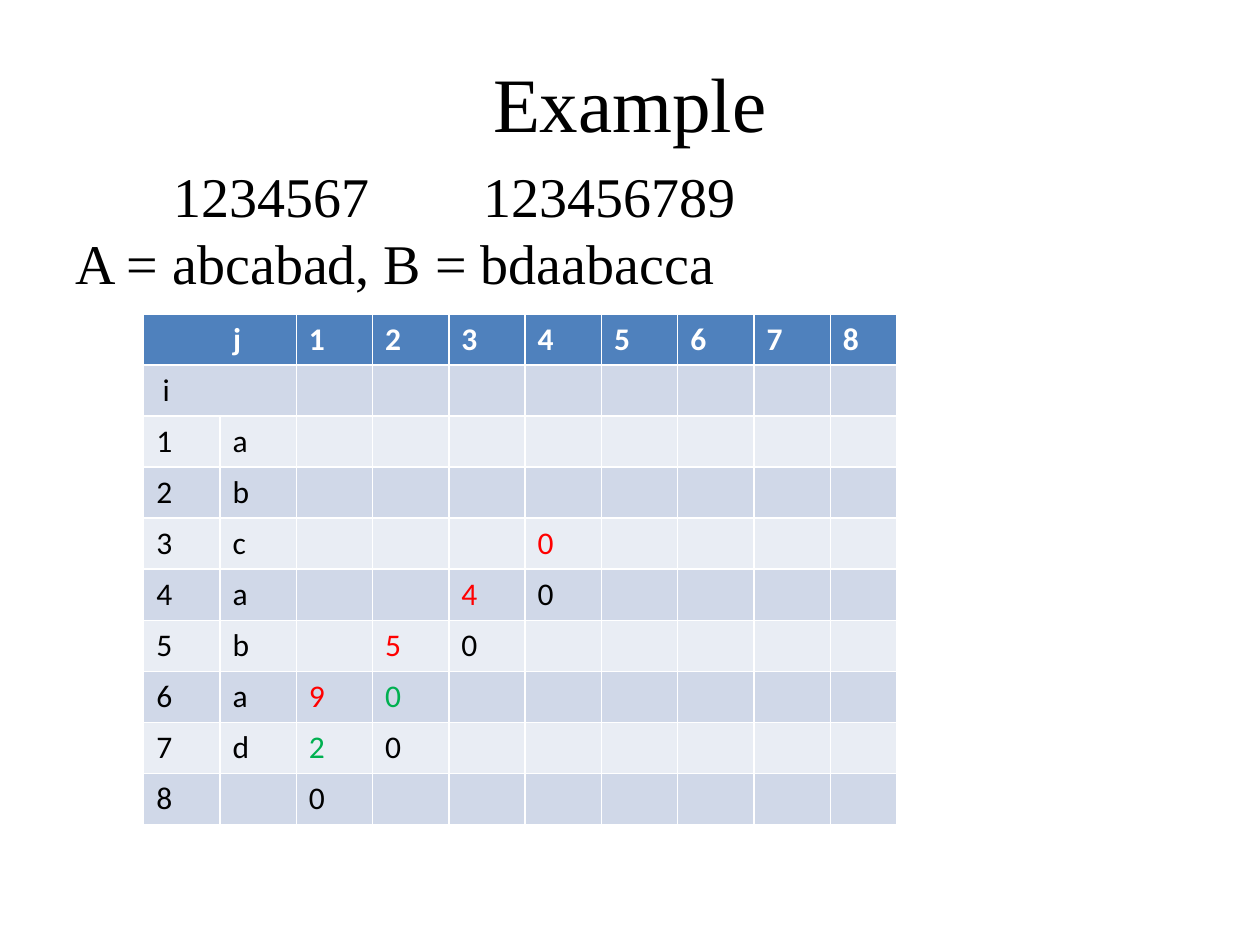
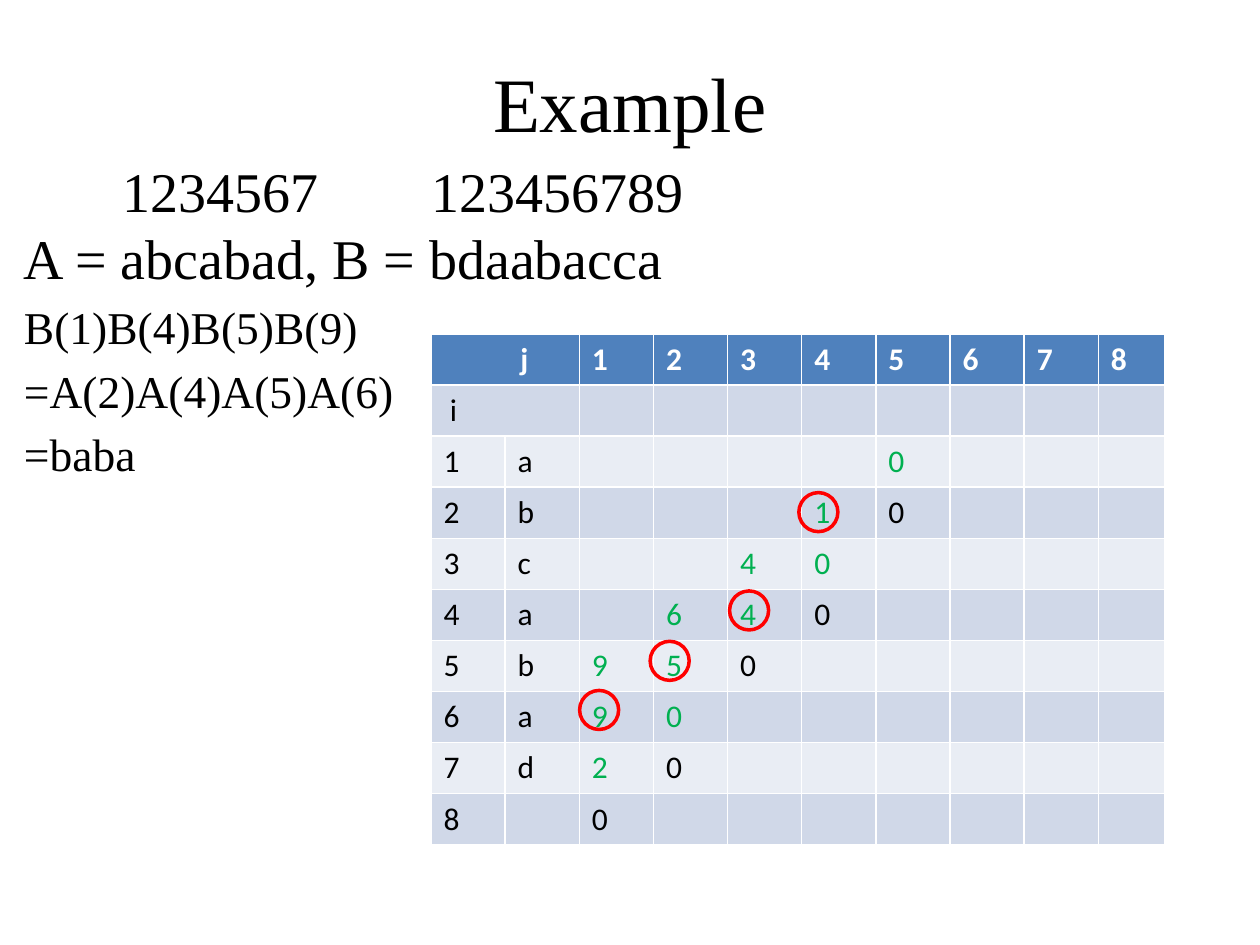
"""Build two example slides that trace a common subsequence table for the strings A and B."""
from lxml import etree
from pptx import Presentation
from pptx.dml.color import RGBColor
from pptx.enum.shapes import MSO_SHAPE
from pptx.enum.text import MSO_ANCHOR, PP_ALIGN
from pptx.oxml.ns import qn
from pptx.util import Inches, Pt

OVAL = MSO_SHAPE.OVAL
MIDDLE = MSO_ANCHOR.MIDDLE
CENTER = PP_ALIGN.CENTER

BLACK, WHITE, RED, GREEN = "000000", "FFFFFF", "FF0000", "00B050"
HEADER_FILL, BAND_FILLS = "4F81BD", ("D0D8E8", "E9EDF4")
SERIF, SANS = "Times New Roman", "Calibri"
STRING_A = "abcabad"
GAP, BREAK = " ", "\v"
STRINGS = ("1234567", GAP, "123456789", BREAK, "A = abcabad, B = bdaabacca")
GAP_SPACING = "5660"
POSITIONS_INDENT = 0.78
LAST_COLUMN, ROW_HEIGHT, CIRCLE_SIZE = 0.53, 0.4, 0.31


def color(hex_text):
    """Turn a hex string into a colour."""
    return RGBColor.from_string(hex_text)


def write(paragraph, pieces, font_name, size, hex_text=BLACK, bold=False):
    """Add formatted runs to a paragraph, widening gaps and breaking lines where asked."""
    for piece in pieces:
        if piece == BREAK:
            paragraph.add_line_break()
            continue
        run = paragraph.add_run()
        run.text = piece
        for name, value in {"name": font_name, "size": Pt(size), "bold": bold}.items():
            setattr(run.font, name, value)
        run.font.color.rgb = color(hex_text)
        if piece == GAP:
            run._r.get_or_add_rPr().set("spc", GAP_SPACING)


examples = [
    {
        "body": (0.5, 1.23, 9, 5.31),
        "inset": 0.1,
        "lines": [(STRINGS, 32)],
        "table": (1.14, 2.49, 5.98),
        "entries": {
            (3, 4): ("0", RED),
            (4, 3): ("4", RED), (4, 4): ("0", BLACK),
            (5, 2): ("5", RED), (5, 3): ("0", BLACK),
            (6, 1): ("9", RED), (6, 2): ("0", GREEN),
            (7, 1): ("2", GREEN), (7, 2): ("0", BLACK),
            (8, 1): ("0", BLACK),
        },
        "circles": [],
    },
    {
        "body": (0, 1.19, 9, 5.31),
        "inset": 0.19,
        "lines": [
            (STRINGS, 32),
            (["B(1)B(4)B(5)B(9)"], 26),
            (["=A(2)A(4)A(5)A(6)"], 26),
            (["=baba"], 26),
        ],
        "table": (3.42, 2.65, 5.83),
        "entries": {
            (1, 5): ("0", GREEN),
            (2, 4): ("1", GREEN), (2, 5): ("0", BLACK),
            (3, 3): ("4", GREEN), (3, 4): ("0", GREEN),
            (4, 2): ("6", GREEN), (4, 3): ("4", GREEN), (4, 4): ("0", BLACK),
            (5, 1): ("9", GREEN), (5, 2): ("5", GREEN), (5, 3): ("0", BLACK),
            (6, 1): ("9", GREEN), (6, 2): ("0", GREEN),
            (7, 1): ("2", GREEN), (7, 2): ("0", BLACK),
            (8, 1): ("0", BLACK),
        },
        "circles": [(6.34, 3.91), (5.79, 4.69), (5.16, 5.09), (4.6, 5.48)],
    },
]

presentation = Presentation()
presentation.slide_width, presentation.slide_height = Inches(10), Inches(7.5)

for example in examples:
    slide = presentation.slides.add_slide(presentation.slide_layouts[1])
    title, body = slide.shapes.title, slide.placeholders[1]
    for shape, place in ((title, (0.5, 0.3, 9, 1.01)), (body, example["body"])):
        for side, length in zip(("left", "top", "width", "height"), place):
            setattr(shape, side, Inches(length))

    title.text_frame.vertical_anchor = MIDDLE
    write(title.text_frame.paragraphs[0], ["Example"], SERIF, 44)
    title.text_frame.paragraphs[0].alignment = CENTER

    frame = body.text_frame
    frame.word_wrap = True
    frame.margin_left = Inches(example["inset"])
    for index, (pieces, size) in enumerate(example["lines"]):
        paragraph = frame.add_paragraph() if index else frame.paragraphs[0]
        properties = paragraph._p.get_or_add_pPr()
        properties.set("marL", "0")
        properties.set("indent", str(Inches(0 if index else POSITIONS_INDENT)))
        etree.SubElement(properties, qn("a:buNone"))
        paragraph.space_before = Pt(5 if index else 0)
        write(paragraph, pieces, SERIF, size)

    cells = {(0, 0): ("j", WHITE), (1, 0): ("i", BLACK)}
    for number in range(1, 9):
        cells[0, number + 1] = (str(number), WHITE)
        cells[number + 1, 0] = (str(number), BLACK)
    for row, letter in enumerate(STRING_A, start=2):
        cells[row, 1] = (letter, BLACK)
    for (row, column), entry in example["entries"].items():
        cells[row + 1, column + 1] = entry

    left, top, width = example["table"]
    table = slide.shapes.add_table(
        10, 10, Inches(left), Inches(top), Inches(width), Inches(10 * ROW_HEIGHT)).table
    for column in table.columns:
        column.width = Inches((width - LAST_COLUMN) / 9)
    table.columns[9].width = Inches(LAST_COLUMN)
    for row in range(10):
        for column in range(10):
            cell = table.cell(row, column)
            cell.fill.solid()
            cell.fill.fore_color.rgb = color(BAND_FILLS[(row + 1) % 2] if row else HEADER_FILL)
            if (row, column) in cells:
                text, text_color = cells[row, column]
                write(cell.text_frame.paragraphs[0], [text], SANS, 18, text_color, row == 0)
    for row, indent in enumerate((0.61, 0.05)):
        corner = table.cell(row, 0)
        corner.merge(table.cell(row, 1))
        corner.text_frame.paragraphs[0]._p.get_or_add_pPr().set("marL", str(Inches(indent)))

    for left, top in example["circles"]:
        circle = slide.shapes.add_shape(
            OVAL, Inches(left), Inches(top), Inches(CIRCLE_SIZE), Inches(CIRCLE_SIZE))
        circle.shadow.inherit = False
        circle.fill.background()
        circle.line.color.rgb = color(RED)
        circle.line.width = Pt(2)

presentation.save("out.pptx")
